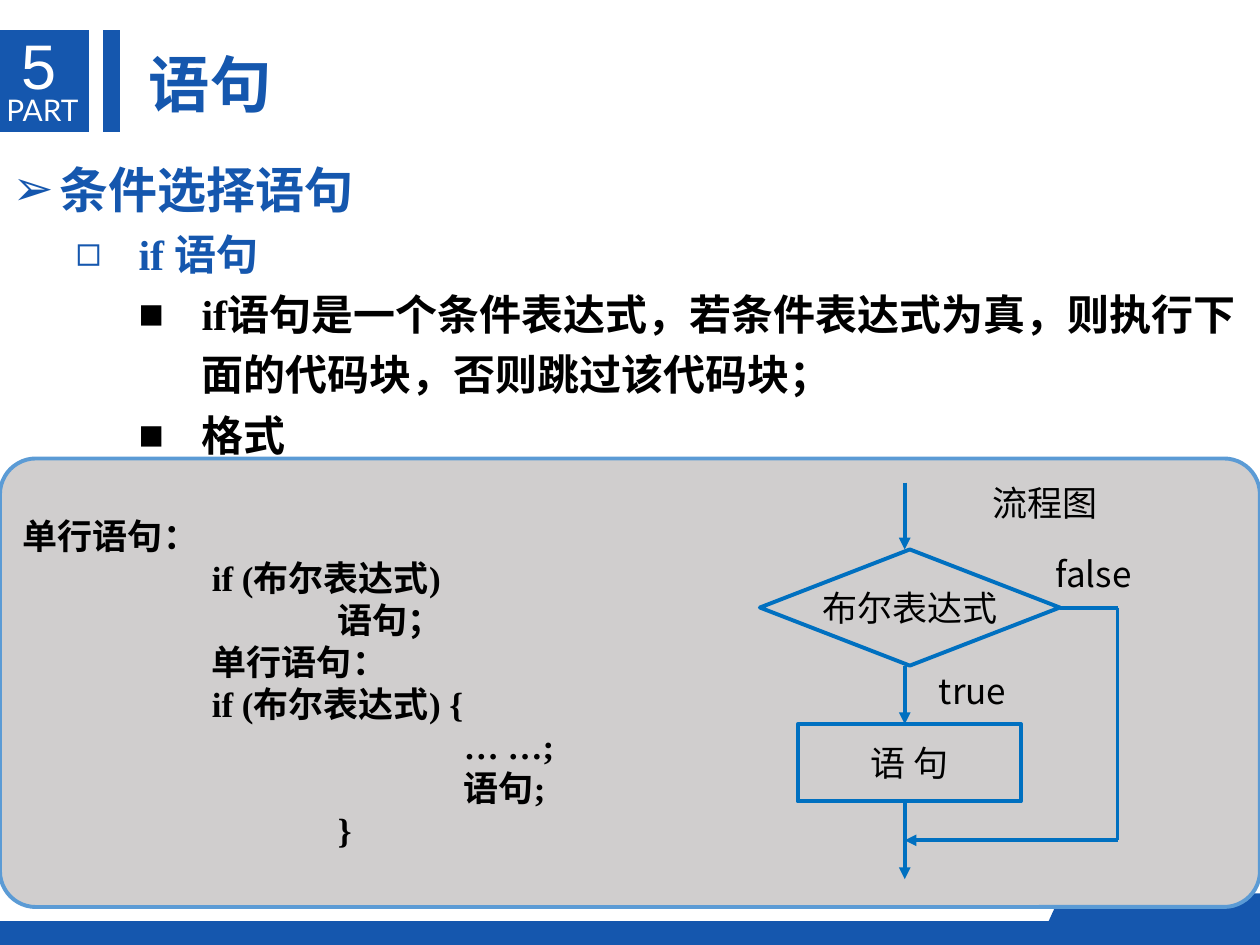
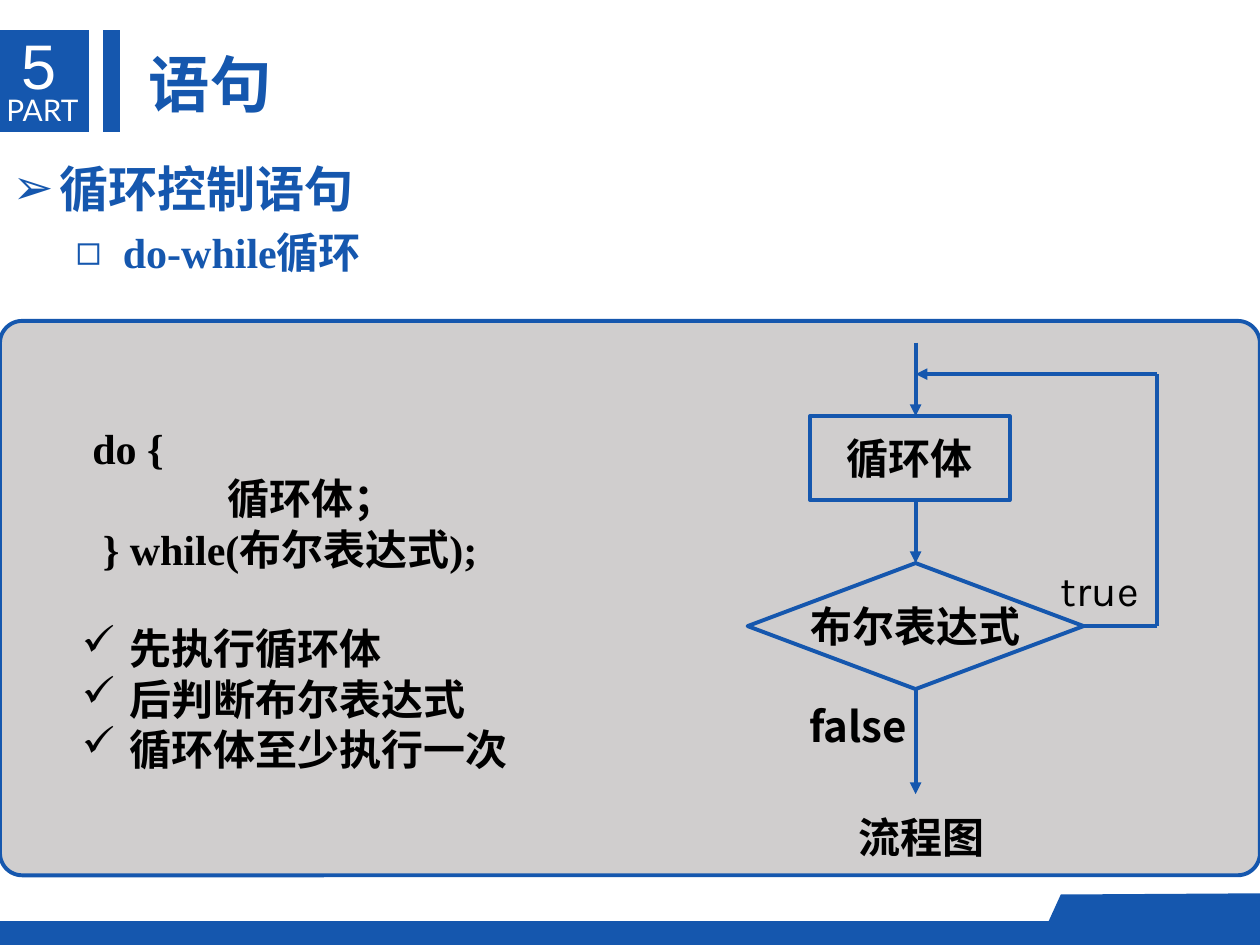
from dataclasses import dataclass

from lxml.etree import SubElement
from pptx import Presentation
from pptx.dml.color import RGBColor
from pptx.enum.shapes import MSO_CONNECTOR, MSO_SHAPE
from pptx.enum.text import MSO_ANCHOR, MSO_AUTO_SIZE, PP_ALIGN
from pptx.oxml.ns import qn
from pptx.util import Pt

COLORS = {
    "brand": "1557AE",
    "panel": "D0CECE",
    "panel_edge": "5B9BD5",
    "flow": "0070C0",
    "black": "000000",
    "white": "FFFFFF",
}
CJK = "Noto Sans CJK SC"
SERIF = "Times New Roman"
MONO = "Courier New"


def color(name):
    return RGBColor.from_string(COLORS[name])


@dataclass
class Line:
    text: str
    size: float = 20
    font: str = SERIF
    color: str = "black"
    bold: bool = True
    left: float = 0
    hanging: float = 0
    bullet: str = ""
    level: int = 0
    spacing: float = 1.0
    before: float = 0
    align: PP_ALIGN = PP_ALIGN.LEFT


class Deck:
    def __init__(self):
        self.presentation = Presentation()
        self.presentation.slide_width = Pt(720)
        self.presentation.slide_height = Pt(540)
        self.slide = None
        self.flow_color = "brand"
        self.label_size = 20
        self.label_bold = False

    def new_slide(self, title, body_top, body_height, body_lines):
        layout = self.presentation.slide_layouts[1]
        self.slide = self.presentation.slides.add_slide(layout)
        self.band()
        heading = self.slide.shapes.title
        self.place(heading, 77.8, 22.3, 85, 49.7)
        self.set_lines(heading, [Line(title, 35, CJK, "brand")],
                       anchor=MSO_ANCHOR.MIDDLE, wrap=False)
        body = self.slide.placeholders[1]
        self.place(body, 0, body_top, 720, body_height)
        self.set_lines(body, body_lines)

    def place(self, shape, left, top, width, height):
        shape.left, shape.top = Pt(left), Pt(top)
        shape.width, shape.height = Pt(width), Pt(height)

    def band(self):
        for box in ((0, 17, 51, 58.4), (59, 17, 9.7, 58.4), (0, 526.3, 720, 13.7)):
            self.shape(MSO_SHAPE.FLOWCHART_PROCESS, box, fill="brand")
        builder = self.slide.shapes.build_freeform(Pt(720), Pt(536.4))
        builder.add_line_segments(
            [(Pt(x), Pt(y)) for x, y in ((720, 510.5), (606.2, 511.2), (594.7, 536.4))])
        self.paint(builder.convert_to_shape(), "brand", None)
        self.text((3.6, 52.6, 43.2, 20.9),
                  Line("PART", 17, "Lato", "white", False), margin=0)
        self.text((5, 11.5, 38.2, 51), Line("5", 36, "Arial", "white", False))

    def paint(self, shape, fill, edge):
        shape.shadow.inherit = False
        if fill:
            shape.fill.solid()
            shape.fill.fore_color.rgb = color(fill)
        else:
            shape.fill.background()
        if edge:
            shape.line.color.rgb = color(edge)
            shape.line.width = Pt(2.25)
        else:
            shape.line.fill.background()

    def shape(self, kind, box, fill=None, edge=None):
        shape = self.slide.shapes.add_shape(kind, *map(Pt, box))
        self.paint(shape, fill, edge)
        return shape

    def set_lines(self, shape, lines, anchor=MSO_ANCHOR.TOP, wrap=True, margin=None):
        frame = shape.text_frame
        frame.text = "\n".join(line.text for line in lines)
        frame.word_wrap = wrap
        frame.auto_size = MSO_AUTO_SIZE.NONE
        frame.vertical_anchor = anchor
        if margin is not None:
            frame.margin_left = frame.margin_right = Pt(margin)
            frame.margin_top = frame.margin_bottom = Pt(margin)
        for paragraph, line in zip(frame.paragraphs, lines):
            self.style_paragraph(paragraph, line)

    def style_paragraph(self, paragraph, line):
        properties = paragraph._p.get_or_add_pPr()
        properties.set("marL", str(Pt(line.left)))
        properties.set("indent", str(Pt(-line.hanging)))
        if line.bullet:
            SubElement(properties, qn("a:buChar")).set("char", line.bullet)
        else:
            SubElement(properties, qn("a:buNone"))
        paragraph.level = line.level
        paragraph.alignment = line.align
        paragraph.line_spacing = line.spacing
        paragraph.space_before = Pt(line.before)
        for run in paragraph.runs:
            run.font.name = line.font
            run.font.size = Pt(line.size)
            run.font.bold = line.bold
            run.font.color.rgb = color(line.color)
            east_asian = SubElement(run._r.get_or_add_rPr(), qn("a:ea"))
            east_asian.set("typeface", CJK)

    def text(self, box, line, anchor=MSO_ANCHOR.TOP, margin=None):
        shape = self.slide.shapes.add_textbox(*map(Pt, box))
        self.set_lines(shape, [line], anchor, False, margin)

    def panel(self, box, rounding, edge, lines):
        panel = self.shape(MSO_SHAPE.ROUNDED_RECTANGLE, box, "panel", edge)
        panel.adjustments[0] = rounding
        self.set_lines(panel, lines, MSO_ANCHOR.MIDDLE)

    def label_line(self, text):
        return Line(text, self.label_size, CJK, bold=self.label_bold,
                    align=PP_ALIGN.CENTER)

    def label(self, text, box):
        self.text(box, self.label_line(text), MSO_ANCHOR.MIDDLE)

    def node(self, kind, text, box):
        node = self.shape(kind, box, edge=self.flow_color)
        self.set_lines(node, [self.label_line(text)], MSO_ANCHOR.MIDDLE, False)
        return node

    def line(self, start, end, arrow=True, begin=None, finish=None):
        connector = self.slide.shapes.add_connector(
            MSO_CONNECTOR.STRAIGHT, *map(Pt, (*start, *end)))
        connector.line.color.rgb = color(self.flow_color)
        connector.line.width = Pt(2.25)
        properties = connector.element.spPr
        if arrow:
            tail = SubElement(properties.find(qn("a:ln")), qn("a:tailEnd"))
            tail.set("type", "triangle")
        SubElement(properties, qn("a:effectLst"))
        if begin:
            connector.begin_connect(*begin)
        if finish:
            connector.end_connect(*finish)


def topic(text):
    return Line(text, 28, color="brand", left=27, hanging=27,
                bullet="➢", level=1, spacing=1.2)


def subtopic(text, left, hanging):
    return Line(text, 24, color="brand", left=left, hanging=hanging,
                bullet="◻", level=2, spacing=1.2)


def detail(text):
    return Line(text, 24, left=108, hanging=36, bullet="■", level=3, spacing=1.2)


def if_slide(deck):
    deck.new_slide("语句", 80.6, 254, [
        topic("条件选择语句"),
        subtopic("if 语句", 72, 36),
        detail("if语句是一个条件表达式，若条件表达式为真，则执行下面的代码块，否则跳过该代码块；"),
        detail("格式"),
    ])
    code = [("单行语句：", 0), ("if (布尔表达式)", 108), ("语句；", 180),
            ("单行语句：", 108), ("if (布尔表达式) {", 108), ("… …;", 252),
            ("语句;", 252), ("}", 180)]
    deck.panel((0, 262, 720, 256.3), 0.08, "panel_edge",
               [Line(text, font=MONO if text == "单行语句：" else SERIF, left=left)
                for text, left in code])

    deck.flow_color, deck.label_size, deck.label_bold = "flow", 20, False
    deck.node(MSO_SHAPE.RECTANGLE, "语 句", (455.8, 413.8, 127.6, 44.2))
    condition = deck.node(MSO_SHAPE.DIAMOND, "布尔表达式", (434.2, 314, 171.4, 66.4))
    axis, bypass, middle, merge = 517, 638.6, 347.2, 480.2
    for top, bottom in ((275.8, 314), (380.4, 413.8), (458, 502.4)):
        deck.line((axis, top), (axis, bottom))
    deck.line((605.6, middle), (bypass, middle), False, begin=(condition, 3))
    deck.line((bypass, middle), (bypass, merge), False)
    deck.line((bypass, merge), (axis, merge))
    deck.label("false", (589, 314, 72, 27.4))
    deck.label("true", (522.7, 381, 66.2, 27.4))
    deck.label("流程图", (533.5, 270.7, 127.4, 33.1))


def do_while_slide(deck):
    deck.new_slide("语句", 80, 114.5, [
        topic("循环控制语句"),
        subtopic("do-while循环", 63, 27),
    ])
    code = [("do {", 42), ("循环体；", 119), ("} while(布尔表达式);", 48)]
    points = ["先执行循环体", "后判断布尔表达式", "循环体至少执行一次"]
    deck.panel((0, 183.4, 720, 316.8), 0.04, "brand",
               [Line(text, 24, left=left, level=1) for text, left in code]
               + [Line(text, 24, CJK, left=63, hanging=27, bullet="✓", level=1,
                       before=0 if index else 28)
                  for index, text in enumerate(points)])

    deck.flow_color, deck.label_size, deck.label_bold = "brand", 24, True
    deck.node(MSO_SHAPE.RECTANGLE, "循环体", (463, 237.8, 114, 48))
    condition = deck.node(MSO_SHAPE.DIAMOND, "布尔表达式", (427.2, 321.8, 192, 72))
    axis, back, merge, middle = 523.2, 661, 213.8, 357.8
    deck.line((axis, 195.8), (axis, 237.8))
    deck.line((axis, 285.8), (axis, 321.8), finish=(condition, 0))
    deck.line((axis, 393.8), (axis, 453.8), begin=(condition, 2))
    deck.line((619.2, middle), (back, middle), False, begin=(condition, 3))
    deck.line((back, middle), (back, merge), False)
    deck.line((back, merge), (axis, merge))
    deck.text((595.4, 321.8, 66.2, 30),
              Line("true", 24, "Karla", bold=False, align=PP_ALIGN.CENTER),
              MSO_ANCHOR.MIDDLE)
    deck.label("false", (451.4, 399.8, 78, 30))
    deck.label("流程图", (457.2, 460, 138.2, 36))


def main():
    deck = Deck()
    if_slide(deck)
    do_while_slide(deck)
    deck.presentation.save("out.pptx")


if __name__ == "__main__":
    main()
